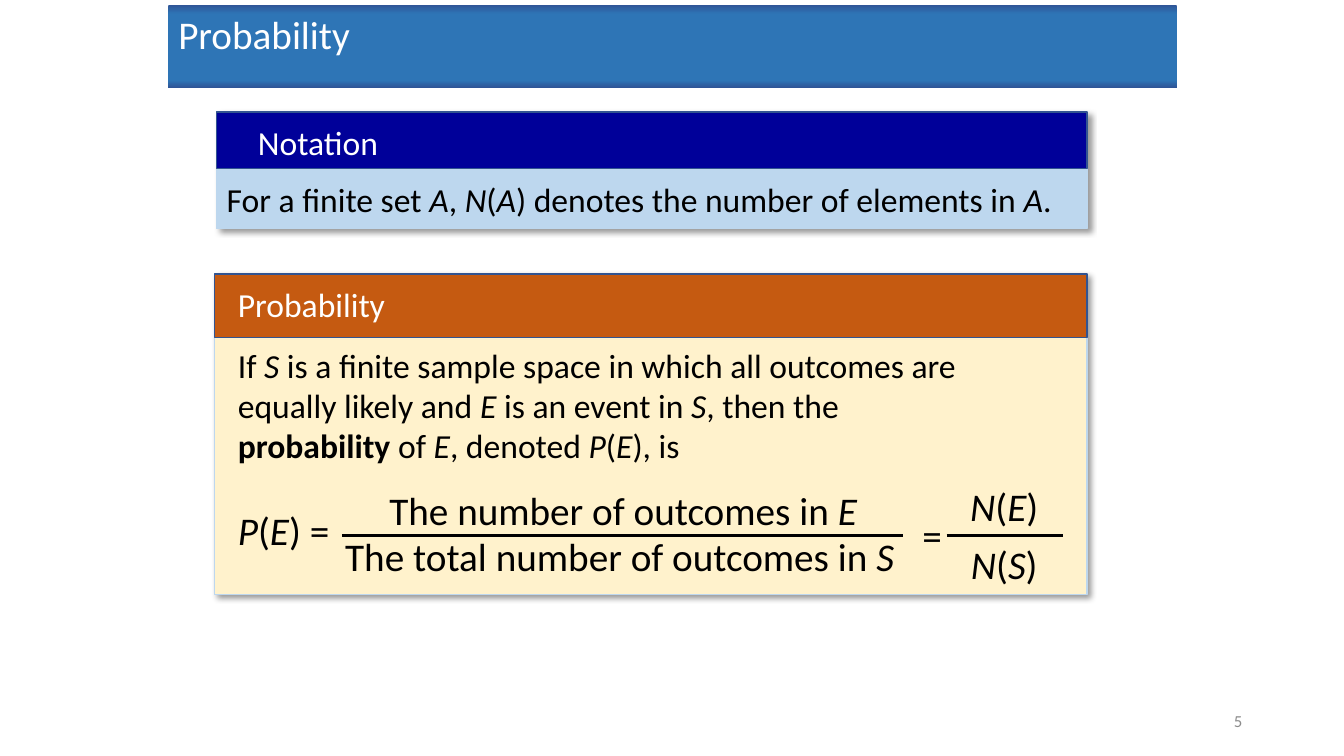
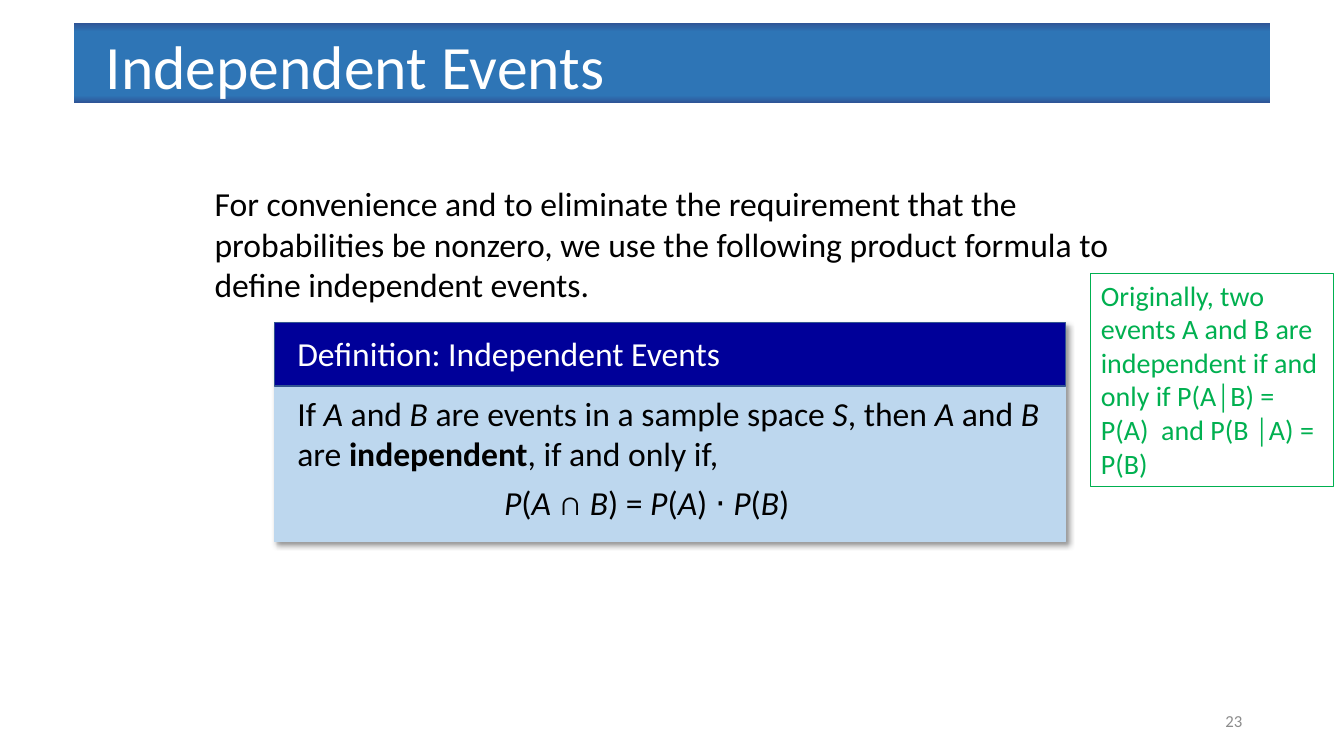
"""Build two slides on probability and independent events."""
import dataclasses

import lxml.etree
import pptx
import pptx.dml.color
import pptx.enum.shapes
import pptx.enum.text
import pptx.oxml.ns
import pptx.util


@dataclasses.dataclass(frozen=True)
class Theme:
    font: str = "Calibri"
    white: str = "FFFFFF"
    black: str = "000000"
    grey: str = "8C8C8C"
    green: str = "00B050"
    navy: str = "000099"
    pale_blue: str = "BDD7EE"
    orange: str = "C55A11"
    cream: str = "FFF2CC"
    edge: str = "325491"
    band: tuple = ((0, "2F5597"), (11, "2E75B6"), (91, "2E75B6"), (100, "2F5597"))
    number: int = 12
    remark: int = 20
    body: int = 24
    formula: int = 28
    heading: int = 44


theme = Theme()
rgb = pptx.dml.color.RGBColor.from_string
qn = pptx.oxml.ns.qn
Align = pptx.enum.text.PP_ALIGN
Anchor = pptx.enum.text.MSO_ANCHOR

deck = pptx.Presentation()
deck.slide_width = pptx.util.Inches(13.33)
deck.slide_height = pptx.util.Inches(7.5)
column = deck.slide_width / 100
row = deck.slide_height / 100


def add_text(slide, at, text, size, color=theme.black, align=Align.LEFT):
    """Add a text box at a place in columns and rows; _x_ is italic, *x* bold."""
    left, top, width, height = at
    box = slide.shapes.add_textbox(
        int(left * column), int(top * row), int(width * column), int(height * row))
    frame = box.text_frame
    frame.word_wrap = True
    paragraph = frame.paragraphs[0]
    for line, content in enumerate(text.split("\n")):
        if line:
            paragraph = frame.add_paragraph()
        paragraph.alignment = align
        for i, part in enumerate(content.split("_")):
            for b, piece in enumerate(part.split("*")):
                if piece:
                    run = paragraph.add_run()
                    run.text = piece
                    run.font.name = theme.font
                    run.font.size = pptx.util.Pt(size)
                    run.font.color.rgb = rgb(color)
                    run.font.italic = i % 2 == 1
                    run.font.bold = b % 2 == 1
    return box


def add_block(slide, at, fill, line=None, shadow=False):
    """Add a rectangle with a plain colour or a tuple of gradient stops."""
    left, top, width, height = at
    block = slide.shapes.add_shape(
        pptx.enum.shapes.MSO_SHAPE.RECTANGLE,
        int(left * column), int(top * row), int(width * column), int(height * row))
    block.shadow.inherit = False
    properties = block.element.spPr
    if isinstance(fill, tuple):
        block.fill.gradient()
        block.fill.gradient_angle = 270
        stops = properties.find(".//" + qn("a:gsLst"))
        for stop in list(stops):
            stops.remove(stop)
        for position, color in fill:
            stop = lxml.etree.SubElement(stops, qn("a:gs"), pos=str(position * 1000))
            lxml.etree.SubElement(stop, qn("a:srgbClr"), val=color)
    else:
        block.fill.solid()
        block.fill.fore_color.rgb = rgb(fill)
    if line:
        block.line.color.rgb = rgb(line)
        block.line.width = pptx.util.Pt(1)
    else:
        block.line.fill.background()
    if shadow:
        outer = lxml.etree.SubElement(
            properties.find(qn("a:effectLst")), qn("a:outerShdw"),
            blurRad=str(pptx.util.Pt(4)), dist=str(pptx.util.Pt(3)),
            dir=str(45 * 60000), algn="tl", rotWithShape="0")
        tint = lxml.etree.SubElement(outer, qn("a:srgbClr"), val=theme.black)
        lxml.etree.SubElement(tint, qn("a:alpha"), val="40000")


slides = []
for title, band, size, indent, number in (
    ("Probability", (12.53, 0.67, 75.02, 10.93), theme.formula, 0, "5"),
    ("Independent Events", (5.48, 3.07, 89.05, 10.53), theme.heading, 1.65, "23"),
):
    slide = deck.slides.add_slide(deck.slide_layouts[6])
    slides.append(slide)
    add_block(slide, band, theme.band)
    left, top, width, height = band
    add_text(slide, (left + indent, top, width - indent, height), title, size, theme.white)
    page = add_text(slide, (70.67, 92.67, 22.5, 5.33), number,
                    theme.number, theme.grey, Align.RIGHT)
    page.text_frame.vertical_anchor = Anchor.MIDDLE
probability, independence = slides

inset = 0.98
statements = []
for slide, at, header, accent, fill, label, label_inset, body_inset, gap, width, body in (
    (probability, (16.13, 14.8, 64.74, 15.47), 7.47, theme.navy, theme.pale_blue,
     "Notation", 2.33, 0, 0.8, 63.69,
     "For a finite set _A_, _N_(_A_) denotes the number of elements in _A_."),
    (probability, (15.98, 36.27, 64.89, 42.4), 8.4, theme.orange, theme.cream,
     "Probability", inset, inset, 0.27, 56.79,
     "If _S_ is a finite sample space in which all outcomes are equally likely and "
     "_E_ is an event in _S_, then the *probability* of _E_, denoted _P_(_E_), is\n"
     "_P_(_E_) = "),
    (independence, (20.41, 42.67, 58.89, 28.93), 8.4, theme.navy, theme.pale_blue,
     "Definition: Independent Events", inset, inset, 0.27, 56.79,
     "If _A_ and _B_ are events in a sample space _S_, then _A_ and _B_ are "
     "*independent*, if and only if,\n"
     "_P_(_A_ ∩ _B_) = _P_(_A_) ⋅ _P_(_B_)"),
):
    left, top, panel_width, height = at
    add_block(slide, at, fill, theme.pale_blue, shadow=True)
    add_block(slide, (left, top, panel_width, header), accent, theme.edge)
    add_text(slide, (left + label_inset, top + 0.67, 53.5, 6.67),
             label, theme.body, theme.white)
    statements.append(add_text(
        slide, (left + body_inset, top + header + gap, width, height - header - 2 * gap),
        body, theme.body))

equation = statements[1].text_frame.paragraphs[1]
equation.space_before = pptx.util.Pt(29)
for run in equation.runs:
    run.font.size = pptx.util.Pt(theme.formula)

product_rule = statements[2].text_frame.paragraphs[1]
product_rule.space_before = pptx.util.Pt(6)
product_rule._p.get_or_add_pPr().set("marL", str(pptx.util.Inches(2.05)))

bar_row = 70.8
for left, top, width, term in (
    (26.93, 63.73, 38.86, "The number of outcomes in _E_"),
    (24.08, 69.73, 44.04, "The total number of outcomes in _S_"),
    (67.52, 66.93, 3.68, "="),
    (69.47, 63.2, 10.5, "_N_(_E_)"),
    (69.47, bar_row, 10.5, "_N_(_S_)"),
):
    add_text(probability, (left, top, width, 7.6), term, theme.formula, align=Align.CENTER)

for start, end in ((25.43, 67.22), (70.44, 79.07)):
    bar = probability.shapes.add_connector(
        pptx.enum.shapes.MSO_CONNECTOR.STRAIGHT,
        int(start * column), int(bar_row * row), int(end * column), int(bar_row * row))
    bar.line.color.rgb = rgb(theme.black)
    bar.line.width = pptx.util.Pt(2.25)
    lxml.etree.SubElement(bar.element.spPr, qn("a:effectLst"))

add_text(independence, (15.23, 23.6, 70.67, 18.93),
         "For convenience and to eliminate the requirement that the probabilities be "
         "nonzero, we use the following product formula to define independent events.",
         theme.body)
remark = add_text(independence, (81.17, 36.13, 18.08, 28.27),
                  "Originally, two events A and B are independent if and only if "
                  "P(A│B) = P(A)  and P(B │A) = P(B)", theme.remark, theme.green)
remark.line.color.rgb = rgb(theme.green)
remark.line.width = pptx.util.Pt(0.75)

deck.save("out.pptx")
